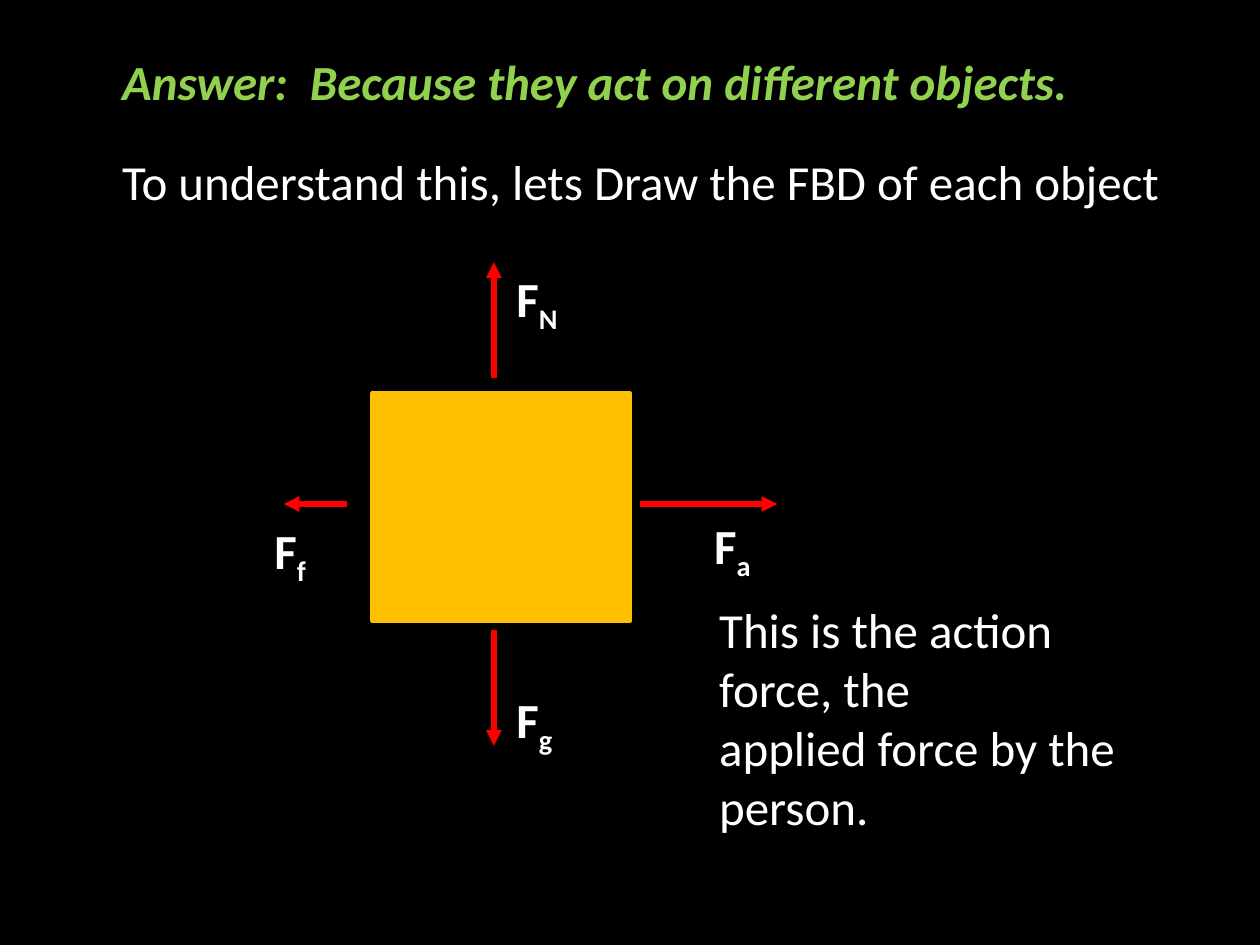
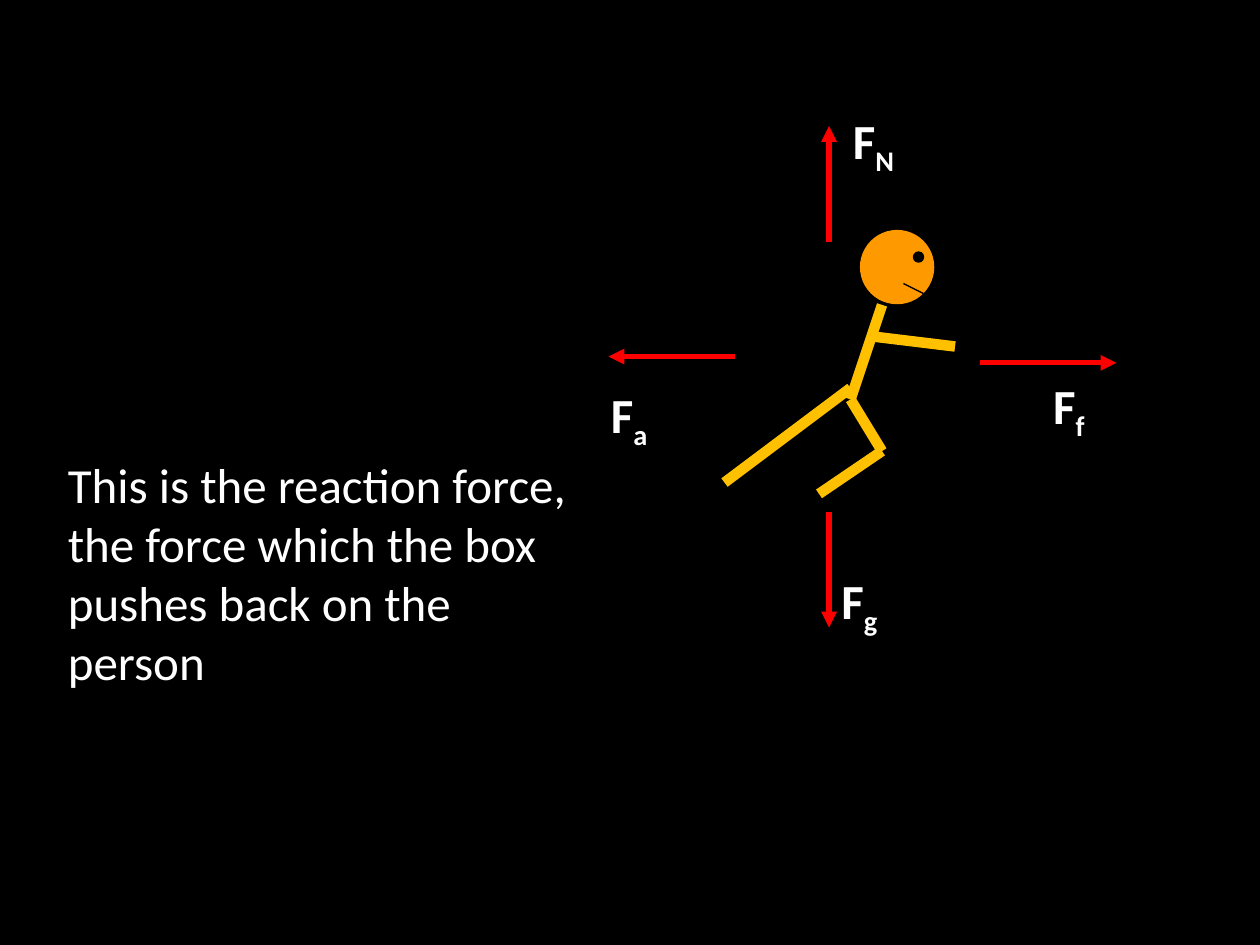
from lxml import etree
from pptx import Presentation
from pptx.dml.color import RGBColor
from pptx.enum.shapes import MSO_CONNECTOR, MSO_SHAPE
from pptx.enum.text import MSO_ANCHOR, MSO_AUTO_SIZE, PP_ALIGN
from pptx.oxml.ns import qn
from pptx.util import Pt

PX = 9144  # EMU per px, 100 px to the inch
STRAIGHT = MSO_CONNECTOR.STRAIGHT
RECT, OVAL = MSO_SHAPE.RECTANGLE, MSO_SHAPE.OVAL
TOP, LEFT = MSO_ANCHOR.TOP, PP_ALIGN.LEFT
GROW = MSO_AUTO_SIZE.SHAPE_TO_FIT_TEXT
TITLE_ONLY, BLANK = 5, 6

BLACK = RGBColor(0x00, 0x00, 0x00)
WHITE = RGBColor(0xFF, 0xFF, 0xFF)
GREEN = RGBColor(0x92, 0xD0, 0x50)
RED = RGBColor(0xFF, 0x00, 0x00)
GOLD = RGBColor(0xFF, 0xC0, 0x00)
ORANGE = RGBColor(0xFF, 0x99, 0x00)

FONT, SIZE = "Calibri", 28
LINE_H = 57
LABEL_W = {"a": 50, "f": 46, "N": 55, "g": 51}


def px(*lengths):
    return [n * PX for n in lengths]


class Deck:
    def __init__(self):
        self.prs = Presentation()
        self.prs.slide_width, self.prs.slide_height = px(1000, 750)

    def slide(self, layout):
        self.s = self.prs.slides.add_slide(self.prs.slide_layouts[layout])
        self.s.background.fill.solid()
        self.s.background.fill.fore_color.rgb = BLACK
        self.shapes = self.s.shapes

    def start_group(self):
        """Send the elements that follow into a new group."""
        self.shapes = self.s.shapes.add_group_shape().shapes

    def end_group(self):
        self.shapes = self.s.shapes

    def style(self, tf, color=WHITE, bold=False, italic=False):
        for p in tf.paragraphs:
            p.alignment = LEFT
            for r in p.runs:
                f = r.font
                f.name, f.size, f.color.rgb = FONT, Pt(SIZE), color
                f.bold, f.italic = bold, italic

    def title(self, text, x, y, w):
        sp = self.s.shapes.title
        sp.left, sp.top, sp.width, sp.height = px(x, y, w, LINE_H)
        tf = sp.text_frame
        tf.text = text
        tf.word_wrap, tf.auto_size, tf.vertical_anchor = False, GROW, TOP
        self.style(tf, GREEN, bold=True, italic=True)

    def text(self, text, x, y, w, h=LINE_H):
        tf = self.shapes.add_textbox(*px(x, y, w, h)).text_frame
        tf.text = text
        tf.word_wrap, tf.auto_size = True, GROW
        self.style(tf)

    def label(self, sub, x, y):
        """Write F with a subscript."""
        tf = self.shapes.add_textbox(*px(x, y, LABEL_W[sub], LINE_H)).text_frame
        tf.word_wrap, tf.auto_size = False, GROW
        p = tf.paragraphs[0]
        for part in ("F", sub):
            p.add_run().text = part
        self.style(tf, bold=True)
        p.runs[1].font._element.set("baseline", "-25000")

    def shape(self, kind, x, y, w, h, color, line_pt=0.75):
        sp = self.shapes.add_shape(kind, *px(x, y, w, h))
        sp.shadow.inherit = False
        sp.fill.solid()
        sp.fill.fore_color.rgb = color
        sp.line.color.rgb, sp.line.width = color, Pt(line_pt)

    def line(self, start, end, color, line_pt, arrow=False):
        c = self.shapes.add_connector(STRAIGHT, *px(*start, *end))
        c.line.color.rgb, c.line.width = color, Pt(line_pt)
        spPr = c._element.spPr
        if arrow:
            etree.SubElement(spPr.find(qn("a:ln")), qn("a:tailEnd"), type="triangle")
        etree.SubElement(spPr, qn("a:effectLst"))

    def force(self, sub, start, end, label_at):
        self.start_group()
        self.line(start, end, RED, 3, arrow=True)
        self.label(sub, *label_at)
        self.end_group()

    def person(self):
        neck, hip, knee, foot = (700, 242), (675, 317), (700, 358), (650, 392)
        self.start_group()
        self.shape(OVAL, 683, 183, 58, 58, ORANGE)
        for start, end in ((neck, hip), (hip, knee), (knee, foot),
                           ((675, 308), (575, 383)), ((692, 267), (758, 275))):
            self.line(start, end, GOLD, 6)
        self.line((733, 233), (717, 225), BLACK, 0.75)
        self.shape(OVAL, 725, 200, 8, 8, BLACK)
        self.end_group()


def box_slide(d):
    d.slide(TITLE_ONLY)
    d.title("Answer:  Because they act on different objects.", 87, 36, 795)
    d.text("To understand this, lets Draw the FBD of each object", 87, 115, 878)
    d.force("a", (508, 400), (617, 400), (557, 404))
    d.force("f", (275, 400), (225, 400), (208, 408))
    d.force("N", (392, 300), (392, 208), (400, 208))
    d.force("g", (392, 500), (392, 592), (400, 542))
    d.text("This is the action force, the\napplied force by the person.", 561, 471, 380, 199)
    d.shape(RECT, 295, 312, 205, 181, GOLD, 2)


def person_slide(d):
    d.slide(BLANK)
    d.person()
    d.force("g", (658, 406), (658, 498), (658, 448))
    d.force("a", (583, 283), (483, 283), (475, 300))
    d.force("N", (658, 192), (658, 100), (667, 83))
    d.text("This is the reaction force, the force which the box pushes back on the person",
           44, 356, 431, 199)
    d.force("f", (778, 288), (886, 288), (826, 293))


def main():
    d = Deck()
    box_slide(d)
    person_slide(d)
    d.prs.save("out.pptx")


if __name__ == "__main__":
    main()
